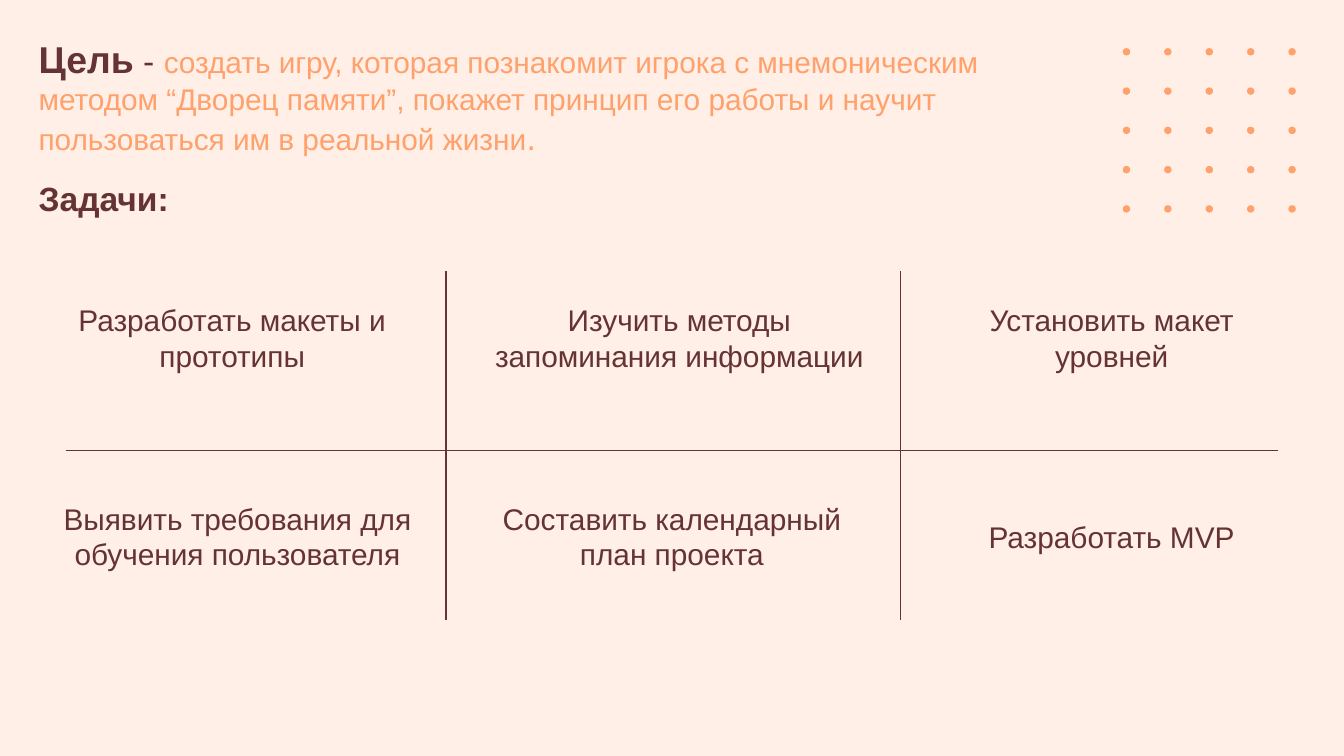
from pptx import Presentation
from pptx.dml.color import RGBColor
from pptx.enum import shapes, text
from pptx.oxml.ns import qn
from pptx.util import Cm, Pt

CREAM = RGBColor(0xFF, 0xEF, 0xE6)
PEACH = RGBColor(0xFF, 0xA1, 0x6C)
WINE = RGBColor(0x65, 0x33, 0x34)

GOAL = [
    ("Цель", 20, WINE, True),
    (" ", 18, PEACH, False),
    ("- ", 18, WINE, False),
    ("создать игру, которая познакомит игрока с мнемоническим методом “Дворец памяти”, "
     "покажет принцип его работы и научит пользоваться им в реальной жизни", 16, PEACH, False),
    (".", 18, PEACH, False),
]
TASKS = [
    [("Разработать макеты и прототипы", 0, 7.26),
     ("Изучить методы запоминания информации", 0, 7.54),
     ("Установить макет уровней", 0, 7.26)],
    [("Выявить требования для обучения пользователя", 0.1, 7.26),
     ("Составить календарный план проекта", 0, 7.26),
     ("Разработать MVP", 0, 7.26)],
]


def style(font, size, color, bold=False):
    font.name = "Arial"
    font.size = Pt(size)
    font.color.rgb = color
    font.bold = bold


def add_box(slide, x, y, w, h):
    frame = slide.shapes.add_textbox(Cm(x), Cm(y), Cm(w), Cm(h)).text_frame
    frame.word_wrap = True
    return frame


def add_line(slide, x1, y1, x2, y2):
    line = slide.shapes.add_connector(
        shapes.MSO_CONNECTOR.STRAIGHT, Cm(x1), Cm(y1), Cm(x2), Cm(y2))
    line.line.color.rgb = WINE
    line.line.width = Pt(0.75)
    props = line._element.spPr
    props.append(props.makeelement(qn("a:effectLst"), {}))


def add_dots(slide, x, y, w, h, count=5, size=0.14):
    for row in range(count):
        for col in range(count):
            dot = slide.shapes.add_shape(
                shapes.MSO_SHAPE.OVAL,
                Cm(x + col * (w - size) / (count - 1)),
                Cm(y + row * (h - size) / (count - 1)), Cm(size), Cm(size))
            dot.shadow.inherit = False
            dot.fill.solid()
            dot.fill.fore_color.rgb = PEACH
            dot.line.fill.background()


def add_goal(slide, x, y, w, h):
    frame = add_box(slide, x, y, w, h)
    frame.margin_left = frame.margin_right = Cm(0.25)
    frame.margin_top = frame.margin_bottom = Cm(0.25)
    for part, size, color, bold in GOAL:
        run = frame.paragraphs[0].add_run()
        run.text = part
        style(run.font, size, color, bold)


def add_head(slide, x, y, w, h):
    para = add_box(slide, x, y, w, h).paragraphs[0]
    para.text = "Задачи:"
    style(para.font, 18, WINE, True)


def add_tasks(slide, x, y, w, h):
    for row, cells in enumerate(TASKS):
        for col, (label, shift, wide) in enumerate(cells):
            frame = add_box(slide, x - 0.48 + 8.31 * col + shift,
                            y + 0.43 + 3.76 * row, wide, 1.63)
            frame.vertical_anchor = text.MSO_ANCHOR.MIDDLE
            para = frame.paragraphs[0]
            para.text = label
            para.alignment = text.PP_ALIGN.CENTER
            style(para.font, 16, WINE)
    add_line(slide, x, y + 3.38, x + w, y + 3.38)
    for edge in (7.19, 15.78):
        add_line(slide, x + edge, y + h, x + edge, y)


def main():
    deck = Presentation()
    deck.slide_width, deck.slide_height = Cm(25.4), Cm(14.29)
    slide = deck.slides.add_slide(deck.slide_layouts[6])
    slide.background.fill.solid()
    slide.background.fill.fore_color.rgb = CREAM
    add_dots(slide, 21.22, 0.91, 3.27, 3.11)
    add_goal(slide, 0.48, 0.43, 20.62, 2.64)
    add_head(slide, 0.48, 3.23, 3.91, 1.02)
    add_tasks(slide, 1.24, 5.13, 22.91, 6.58)
    deck.save("out.pptx")


if __name__ == "__main__":
    main()
